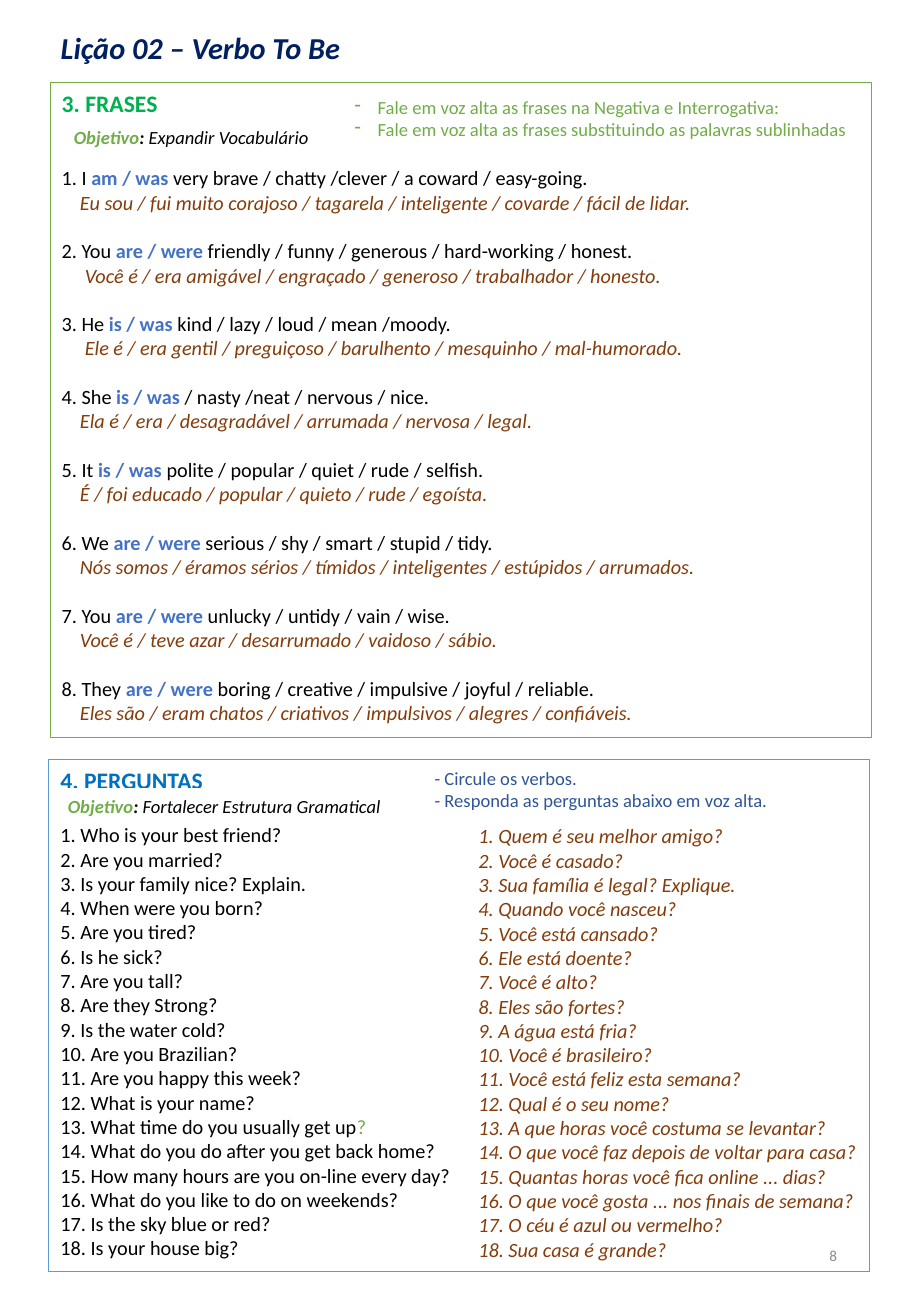
from lxml import etree
from pptx import Presentation
from pptx.dml.color import RGBColor
from pptx.enum.shapes import MSO_SHAPE
from pptx.enum.text import MSO_ANCHOR, MSO_AUTO_SIZE, PP_ALIGN
from pptx.oxml.ns import qn
from pptx.util import Inches, Pt

RECTANGLE = MSO_SHAPE.RECTANGLE
TOP, MIDDLE = MSO_ANCHOR.TOP, MSO_ANCHOR.MIDDLE
LEFT, RIGHT = PP_ALIGN.LEFT, PP_ALIGN.RIGHT
NO_RESIZE = MSO_AUTO_SIZE.NONE

COLORS = {
    "white": "FFFFFF",
    "black": "000000",
    "title": "002060",
    "phrases": "00B050",
    "green": "70AD47",
    "verb": "4472C4",
    "translation": "843C0B",
    "questions": "0070C0",
    "questions_line": "5B9BD5",
    "instructions": "2F5597",
    "page_number": "8C8C8C",
}
FONT = "Calibri"
MARGIN = 0.4
PANEL_WIDTH = 6.76
BODY_SIZE = 12
BODY_LINE = 14.4

SENTENCES = [
    ("I ", "am / was", " very brave / chatty /clever / a coward / easy-going.",
     "Eu sou / fui muito corajoso / tagarela / inteligente / covarde / fácil de lidar.", 0.15),
    ("You ", "are / were", " friendly / funny / generous / hard-working / honest.",
     "Você é / era amigável / engraçado / generoso / trabalhador / honesto.", 0.19),
    ("He ", "is / was ", "kind / lazy / loud / mean /moody.",
     "Ele é / era gentil / preguiçoso / barulhento / mesquinho / mal-humorado.", 0.19),
    ("She ", "is / was ", "/ nasty /neat / nervous / nice.",
     "Ela é / era / desagradável / arrumada / nervosa / legal.", 0.15),
    ("It ", "is / was ", "polite / popular / quiet / rude / selfish.",
     "É / foi educado / popular / quieto / rude / egoísta.", 0.15),
    ("We ", "are / were ", "serious / shy / smart / stupid / tidy.",
     "Nós somos / éramos sérios / tímidos / inteligentes / estúpidos / arrumados.", 0.15),
    ("You ", "are / were ", "unlucky / untidy / vain / wise.",
     "Você é / teve azar / desarrumado / vaidoso / sábio.", 0.15),
    ("They ", "are / were ", "boring / creative / impulsive / joyful / reliable.",
     "Eles são / eram chatos / criativos / impulsivos / alegres / confiáveis.", 0.15),
]
QUESTIONS = [
    ("Who is your best friend?", "Quem é seu melhor amigo?"),
    ("Are you married?", "Você é casado?"),
    ("Is your family nice? Explain.", "Sua família é legal? Explique."),
    ("When were you born?", "Quando você nasceu?"),
    ("Are you tired?", "Você está cansado?"),
    ("Is he sick?", "Ele está doente?"),
    ("Are you tall?", "Você é alto?"),
    ("Are they Strong?", "Eles são fortes?"),
    ("Is the water cold?", "A água está fria?"),
    ("Are you Brazilian?", "Você é brasileiro?"),
    ("Are you happy this week?", "Você está feliz esta semana?"),
    ("What is your name?", "Qual é o seu nome?"),
    ("What time do you usually get up?", "A que horas você costuma se levantar?"),
    ("What do you do after you get back home?", "O que você faz depois de voltar para casa?"),
    ("How many hours are you on-line every day?", "Quantas horas você fica online ... dias?"),
    ("What do you like to do on weekends?", "O que você gosta ... nos finais de semana?"),
    ("Is the sky blue or red?", "O céu é azul ou vermelho?"),
    ("Is your house big?", "Sua casa é grande?"),
]
GREEN_MARK_QUESTION = 13


def add_box(left, top, width, height, line=None, line_width=0.25, fill=None, wrap=True):
    area = [Inches(length) for length in (left, top, width, height)]
    if line:
        shape = slide.shapes.add_shape(RECTANGLE, *area)
        shape.shadow.inherit = False
        shape.line.color.rgb = RGBColor.from_string(COLORS[line])
        shape.line.width = Pt(line_width)
        if fill:
            shape.fill.solid()
            shape.fill.fore_color.rgb = RGBColor.from_string(COLORS[fill])
        else:
            shape.fill.background()
    else:
        shape = slide.shapes.add_textbox(*area)
    frame = shape.text_frame
    frame.word_wrap = wrap
    frame.vertical_anchor = TOP
    return frame


def write(frame, runs, size=BODY_SIZE, before=0, indent=0, bullet=None, align=LEFT):
    paragraph = frame.paragraphs[0]
    if paragraph.runs:
        paragraph = frame.add_paragraph()
    paragraph.alignment = align
    if before:
        paragraph.space_before = Pt(before)
    if indent:
        properties = paragraph._p.get_or_add_pPr()
        properties.set("marL", str(Inches(indent)))
        if bullet:
            properties.set("indent", str(-Inches(indent)))
            etree.SubElement(properties, qn("a:buChar")).set("char", bullet)
    for text, color, style in runs:
        run = paragraph.add_run()
        run.text = text
        run.font.name = FONT
        run.font.size = Pt(size)
        run.font.bold = "b" in style
        run.font.italic = "i" in style
        run.font.color.rgb = RGBColor.from_string(COLORS[color])
    return paragraph


presentation = Presentation()
presentation.slide_width = Inches(7.5)
presentation.slide_height = Inches(10.83)
slide = presentation.slides.add_slide(presentation.slide_layouts[5])

title = slide.shapes.title
title.left, title.top = Inches(MARGIN), Inches(0.17)
title.width, title.height = Inches(2.53), Inches(0.43)
title.text_frame.word_wrap = False
title.text_frame.auto_size = NO_RESIZE
title.text_frame.vertical_anchor = TOP
write(title.text_frame, [("Lição 02 – Verbo To Be", "title", "bi")], 18).line_spacing = 1.07

page_number = add_box(5.3, 10.04, 1.69, 0.58)
page_number.vertical_anchor = MIDDLE
write(page_number, [("8", "page_number", "")], 9, align=RIGHT)

phrases = add_box(MARGIN + 0.01, 0.68, PANEL_WIDTH, 5.39, "green")
write(phrases, [("3. FRASES", "phrases", "b")], 14)
for number, (subject, verb, words, translation, indent) in enumerate(SENTENCES, 1):
    runs = [(f"{number}. {subject}", "black", ""), (verb, "verb", "b"), (words, "black", "")]
    write(phrases, runs, before=BODY_LINE * (2 if number == 1 else 1))
    write(phrases, [(translation, "translation", "i")], indent=indent)

phrase_tips = add_box(2.82, 0.74, 4.28, 0.47, wrap=False)
for tip in ("Fale em voz alta as frases na Negativa e Interrogativa:",
            "Fale em voz alta as frases substituindo as palavras sublinhadas"):
    write(phrase_tips, [(tip, "green", "")], 11, indent=0.19, bullet="-")

questions = add_box(MARGIN, 6.25, PANEL_WIDTH, 4.21, "questions_line")
answers = add_box(3.84, 6.73, 3.33, 3.74)
write(questions, [("4. PERGUNTAS", "questions", "b")], 14)
for number, (question, translation) in enumerate(QUESTIONS, 1):
    runs = [(f"{number}. {question}", "black", "")]
    if number == GREEN_MARK_QUESTION:
        runs = [(f"{number}. {question[:-1]}", "black", ""), (question[-1], "green", "")]
    write(questions, runs, before=17 if number == 1 else 0)
    write(answers, [(f"{number}. {translation}", "translation", "i")])

question_tips = add_box(3.48, 6.26, 2.97, 0.47, wrap=False)
for tip in ("- Circule os verbos.", "- Responda as perguntas abaixo em voz alta."):
    write(question_tips, [(tip, "instructions", "")], 11)

for left, top, width, goal in ((0.46, 6.49, 2.85, "Fortalecer Estrutura Gramatical"),
                               (0.51, 0.99, 2.16, "Expandir Vocabulário")):
    objective = add_box(left, top, width, 0.29, "white", 0.75, "white", wrap=False)
    write(objective, [("Objetivo", "green", "bi"), (": ", "black", "bi"), (goal, "black", "i")], 11)

presentation.save("out.pptx")
